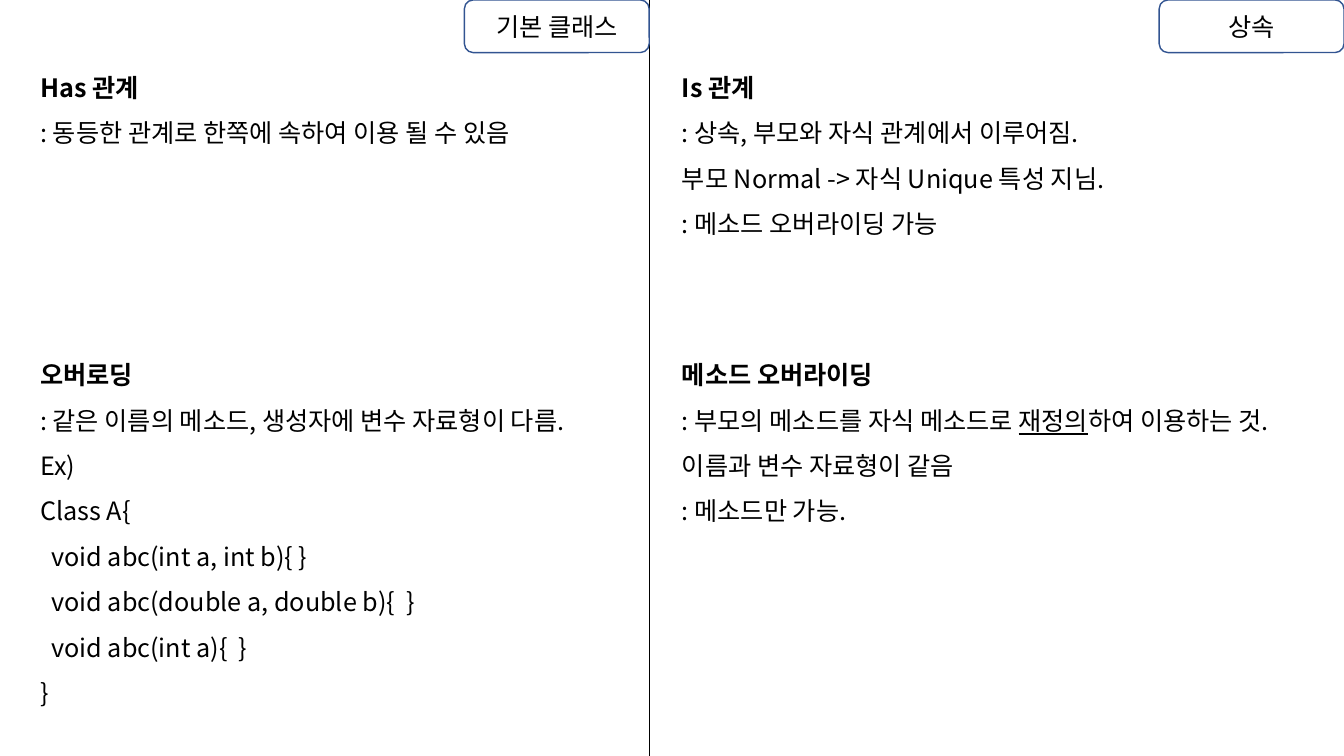
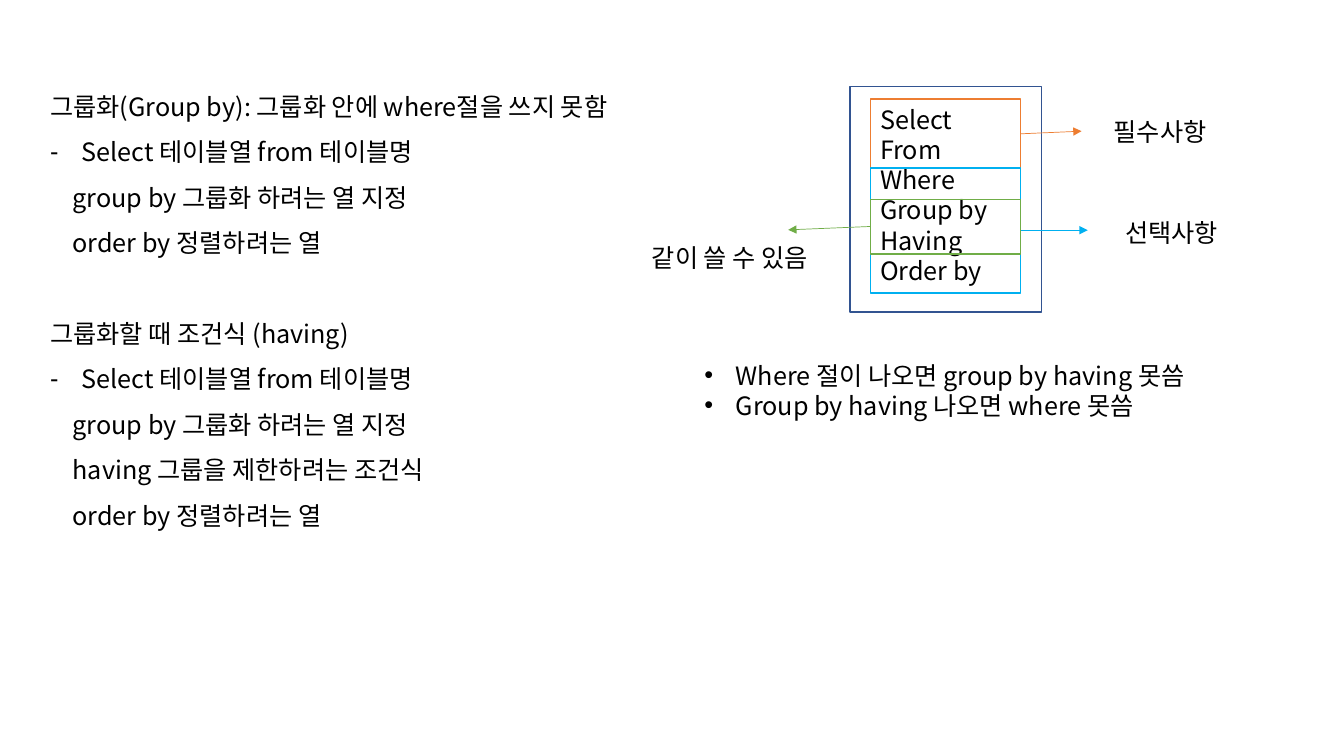
from pptx import Presentation
from pptx.dml.color import RGBColor
from pptx.enum.shapes import MSO_CONNECTOR, MSO_SHAPE
from pptx.enum.text import MSO_ANCHOR, PP_ALIGN
from pptx.oxml.ns import qn
from pptx.util import Pt
from lxml.etree import SubElement

FONT, TEXT_SIZE = "Noto Sans CJK KR", 18
BLACK, NAVY = "000000", "325491"
ORANGE, SKY, GREEN = "ED7D31", "00B0F0", "70AD47"
WIDTH, HEIGHT = 960, 540
DIVIDER_X = 463.7
TAB_WIDTH, TAB_HEIGHT = 132, 37.6
HANGING, SUBLINE = 22.5, 16
SECTION_GAP = 32.5

TABS = [("상속", WIDTH), ("기본 클래스", DIVIDER_X)]  # label, right edge

# Left, top, width, height, heading, lines; a line is a list of (text, underlined)
NOTES = [
    (21.6, 37.4, 398, 166, "Has 관계", [
        [(": 동등한 관계로 한쪽에 속하여 이용 될 수 있음", False)],
    ]),
    (480, 37.4, 350, 232, "Is 관계", [
        [(": 상속, 부모와 자식 관계에서 이루어짐.", False)],
        [("부모 Normal -> 자식 Unique 특성 지님.", False)],
        [(": 메소드 오버라이딩 가능", False)],
    ]),
    (21.6, 242.6, 435, 265, "오버로딩", [
        [(": 같은 이름의 메소드, 생성자에 변수 자료형이 다름.", False)],
        [("Ex)", False)],
        [("Class A{", False)],
        [("  void abc(int a, int b){ }", False)],
        [("  void abc(double a, double b){  }", False)],
        [("  void abc(int a){  }", False)],
        [("}", False)],
    ]),
    (480, 242.6, 480, 200, "메소드 오버라이딩", [
        [(": 부모의 메소드를 자식 메소드로 ", False), ("재정의", True),
         ("하여 이용하는 것.", False)],
        [("이름과 변수 자료형이 같음", False)],
        [(": 메소드만 가능.", False)],
    ]),
]

# Heading, then the clauses of the query
QUERIES = [
    ("그룹화(Group by): 그룹화 안에 where절을 쓰지 못함", [
        "Select 테이블열 from 테이블명",
        "group by 그룹화 하려는 열 지정",
        "order by 정렬하려는 열",
    ]),
    ("그룹화할 때 조건식 (having)", [
        "Select 테이블열 from 테이블명",
        "group by 그룹화 하려는 열 지정",
        "having 그룹을 제한하려는 조건식",
        "order by 정렬하려는 열",
    ]),
]
CLAUSES = ["Select", "From", "Where", "Group by", "Having", "Order by"]
RULES = ["Where 절이 나오면 group by having 못씀",
         "Group by having 나오면 where 못씀"]
CLAUSE_X, CLAUSE_WIDTH = 621.6, 107.4

# Colour, frame top and height, arrow ends, label and its left, top, width
GROUPS = [
    (ORANGE, 70.8, 49, (729, 95.6), (772.6, 93.7), "필수사항", (788.4, 79.2, 87)),
    (SKY, 120, 89.2, (729, 164.4), (777, 164.4), "선택사항", (796.6, 152, 87)),
    (GREEN, 142.6, 38.9, (621.6, 161.8), (563, 164.2), "같이 쓸 수 있음",
     (458.6, 169.2, 142.5)),
]


def colour(value):
    return RGBColor.from_string(value)


def add_span(para, text, bold=False, underline=False):
    span = para.add_run()
    span.text = text
    font = span.font
    font.size, font.name, font.bold = Pt(TEXT_SIZE), FONT, bold
    font.underline = underline
    font.color.rgb = colour(BLACK)
    SubElement(span._r.get_or_add_rPr(), qn("a:ea"), typeface=FONT)


def add_box(page, left, top, width, height):
    frame = page.shapes.add_textbox(Pt(left), Pt(top), Pt(width), Pt(height)).text_frame
    frame.word_wrap = True
    return frame


def next_para(frame, spacing=1.0):
    """Return the empty first paragraph of a frame, or a new one after the rest."""
    first = frame.paragraphs[0]
    para = frame.add_paragraph() if first.runs else first
    para.line_spacing = spacing
    return para


def indent(para, left, bullet=None):
    """Indent a paragraph; a bullet hangs in the indent."""
    properties = para._p.get_or_add_pPr()
    properties.set("marL", str(Pt(left)))
    if bullet:
        properties.set("indent", str(-Pt(left)))
        SubElement(properties, qn("a:buFont"), typeface="Arial")
        SubElement(properties, qn("a:buChar"), char=bullet)


def add_outline(page, kind, left, top, width, height, line):
    shape = page.shapes.add_shape(kind, Pt(left), Pt(top), Pt(width), Pt(height))
    shape.shadow.inherit = False
    shape.fill.background()
    shape.line.color.rgb = colour(line)
    shape.line.width = Pt(1)
    return shape


def add_line(page, start, end, line, arrow=False):
    connector = page.shapes.add_connector(
        MSO_CONNECTOR.STRAIGHT, *(Pt(value) for value in (*start, *end)))
    connector.line.color.rgb = colour(line)
    connector.line.width = Pt(0.5)
    if arrow:
        SubElement(connector.line._get_or_add_ln(), qn("a:tailEnd"), type="triangle")
    SubElement(connector._element.spPr, qn("a:effectLst"))


def build_class_page(page):
    for left, top, width, height, heading, lines in NOTES:
        frame = add_box(page, left, top, width, height)
        add_span(next_para(frame, 1.5), heading, bold=True)
        for line in lines:
            para = next_para(frame, 1.5)
            for text, underlined in line:
                add_span(para, text, underline=underlined)
    add_line(page, (DIVIDER_X, 0), (DIVIDER_X, HEIGHT), BLACK)
    for label, right in TABS:
        tab = add_outline(page, MSO_SHAPE.ROUNDED_RECTANGLE,
                          right - TAB_WIDTH, 0, TAB_WIDTH, TAB_HEIGHT, NAVY)
        tab.text_frame.vertical_anchor = MSO_ANCHOR.MIDDLE
        para = next_para(tab.text_frame)
        para.alignment = PP_ALIGN.CENTER
        add_span(para, label)


def build_query_page(page):
    frame = add_box(page, 28.8, 51, 443.5, 363)
    for number, (heading, clauses) in enumerate(QUERIES):
        para = next_para(frame, 1.5)
        if number:
            para.space_before = Pt(SECTION_GAP)
        add_span(para, heading)
        for position, clause in enumerate(clauses):
            para = next_para(frame, 1.5)
            if position:
                indent(para, SUBLINE)
            else:
                indent(para, HANGING, "-")
            add_span(para, clause)

    frame = add_box(page, CLAUSE_X, 70.8, CLAUSE_WIDTH, 138)
    for clause in CLAUSES:
        add_span(next_para(frame), clause)
    add_outline(page, MSO_SHAPE.RECTANGLE, 607, 62, 137, 161, NAVY)
    for line, top, height, start, end, label, (left, label_top, width) in GROUPS:
        add_outline(page, MSO_SHAPE.RECTANGLE, CLAUSE_X, top, CLAUSE_WIDTH, height, line)
        add_line(page, start, end, line, arrow=True)
        add_span(next_para(add_box(page, left, label_top, width, 29)), label)

    frame = add_box(page, 496, 253.5, 385, 51)
    for rule in RULES:
        para = next_para(frame)
        indent(para, HANGING, "•")
        add_span(para, rule)


def main():
    deck = Presentation()
    deck.slide_width, deck.slide_height = Pt(WIDTH), Pt(HEIGHT)
    blank = deck.slide_layouts.get_by_name("Blank")
    for build in (build_class_page, build_query_page):
        build(deck.slides.add_slide(blank))
    deck.save("out.pptx")


if __name__ == "__main__":
    main()
